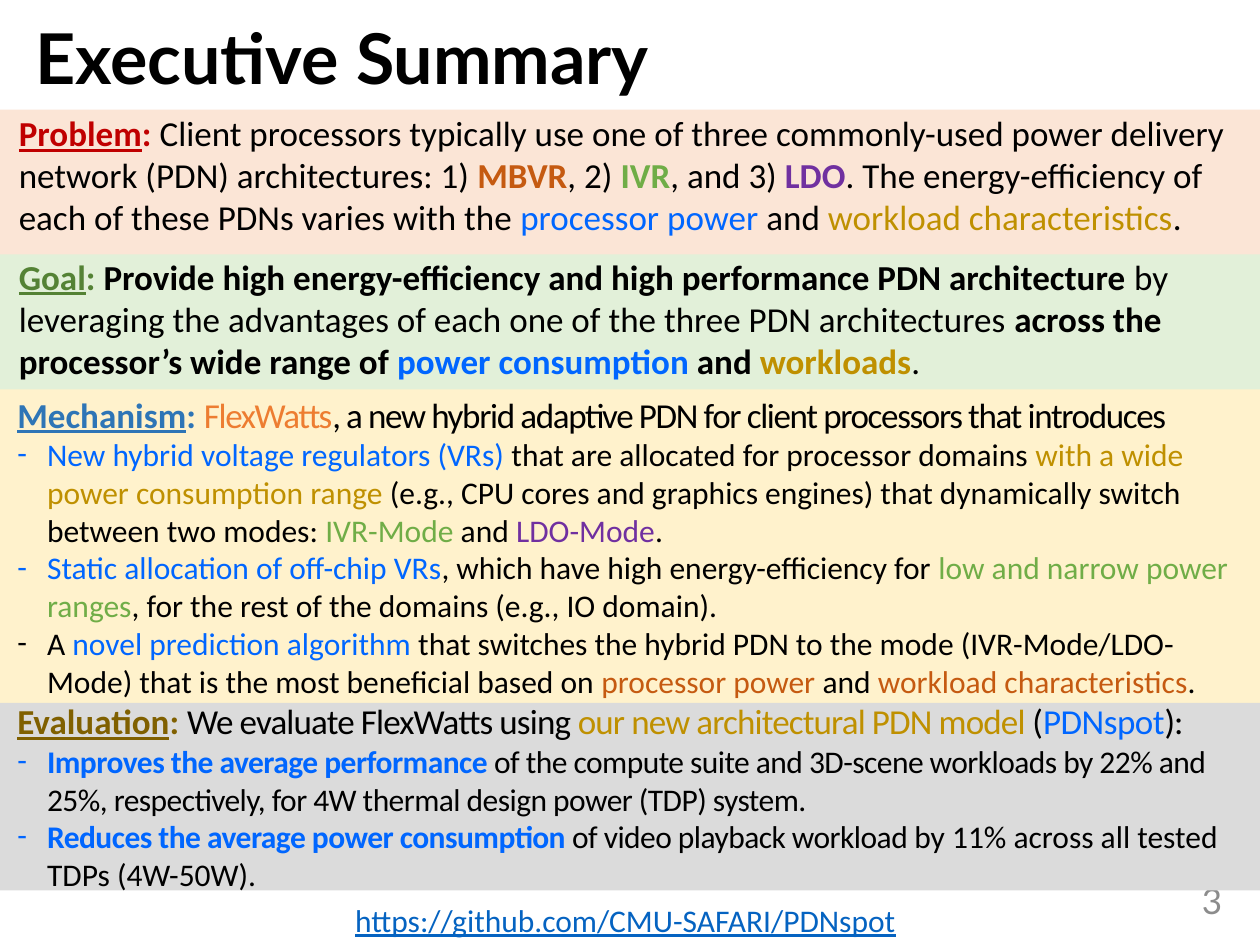
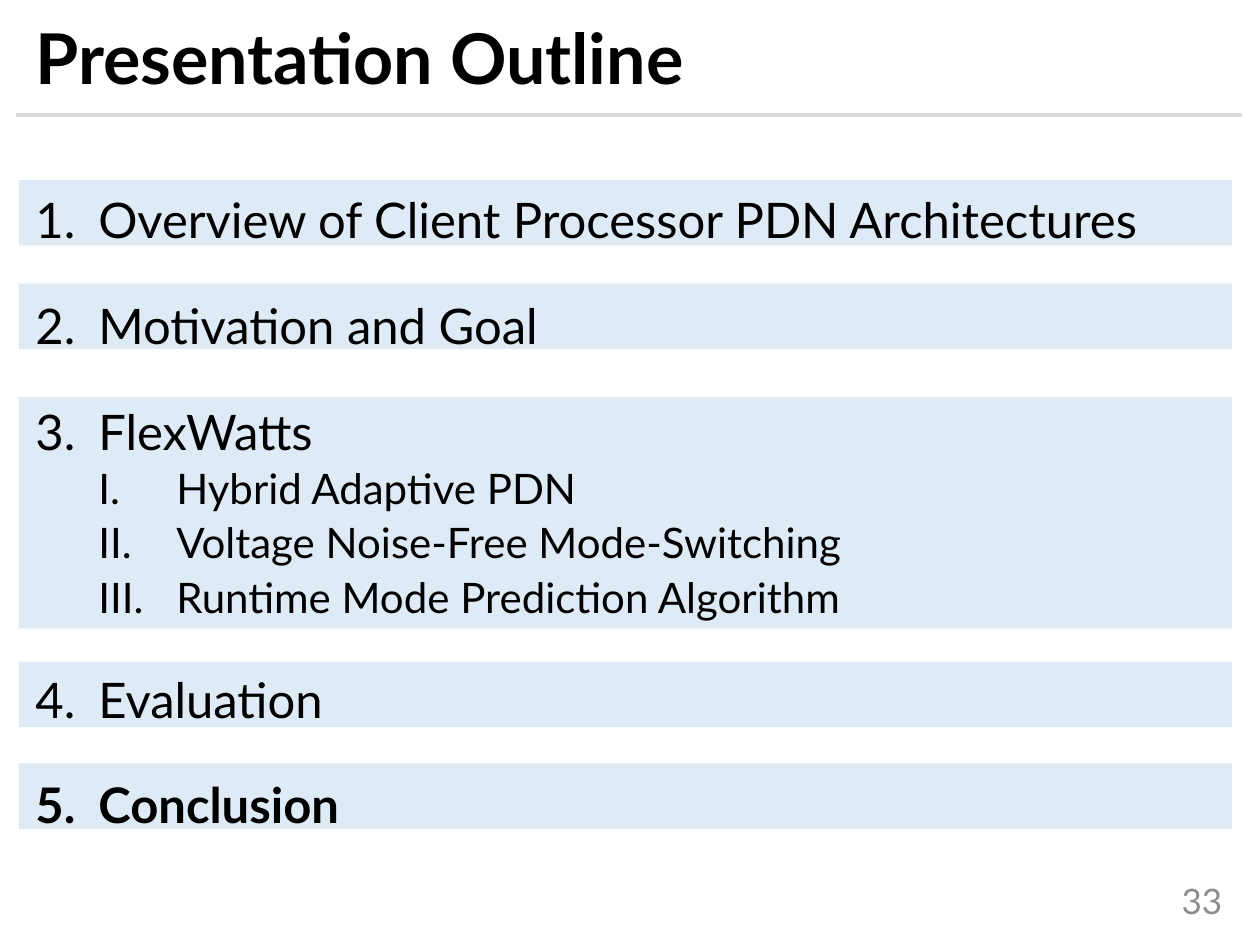
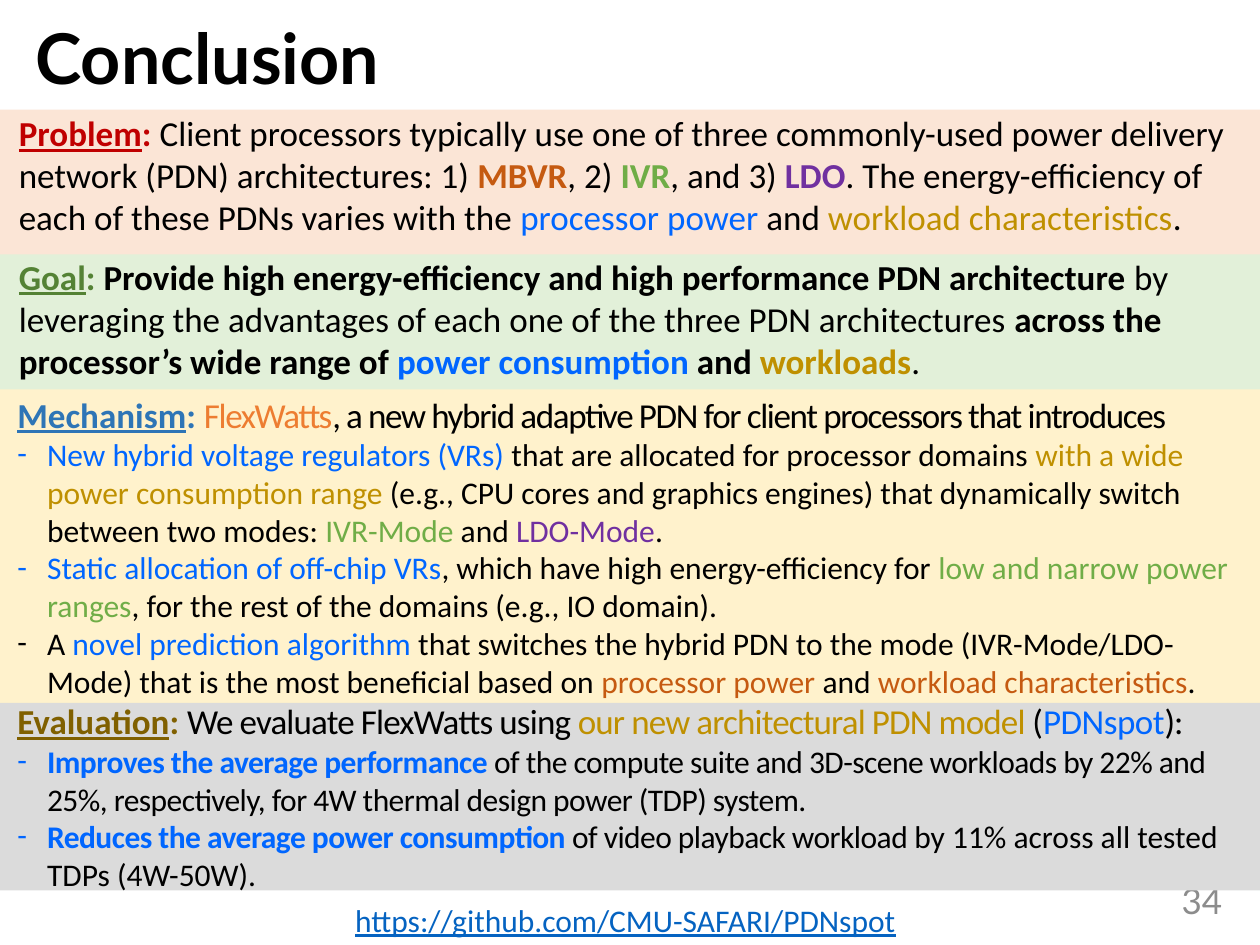
from lxml import etree
from pptx import Presentation
from pptx.dml.color import RGBColor
from pptx.enum import shapes, text
from pptx.oxml.ns import qn
from pptx.util import Cm, Pt

BLACK, GREY, RULE = "000000", "8C8C8C", "D9D9D9"
BLUE, GOLD, ORANGE = "0066FF", "BF9000", "C55A11"
GREEN, PURPLE, LINK = "70AD47", "7030A0", "0563C1"
PALE_BLUE = "DEEBF7"
HEAD_FONT, TEXT_FONT = "Lato", "Calibri"

# Spans are (text, colour, marks, spacing in points); marks: b bold, u underlined.
PROBLEM = [
    ("Problem", "C00000", "bu"), (": ", "C00000", "b"),
    ("Client processors typically use one of three commonly-used power "
     "delivery network (PDN) architectures: 1) ",),
    ("MBVR", ORANGE, "b"), (", 2) ",), ("IVR", GREEN, "b"), (", and 3) ",),
    ("LDO", PURPLE, "b"),
    (". The energy-efficiency of each of these PDNs varies with the ",),
    ("processor power ", BLUE), ("and ",),
    ("workload characteristics", GOLD), (".",),
]
GOAL = [
    ("Goal", "548235", "bu"), (": ", "548235", "b"),
    ("Provide high energy-efficiency and high performance PDN architecture ",
     BLACK, "b"),
    ("by leveraging the advantages of each one of the three PDN architectures ",),
    ("across the processor’s wide range of ", BLACK, "b"),
    ("power consumption ", BLUE, "b"), ("and ", BLACK, "b"),
    ("workloads", GOLD, "b"), (".",),
]
MECHANISM = [
    ("Mechanism", "2E75B6", "bu"), (": ", "2E75B6", "b"),
    ("FlexWatts", "ED7D31", "", -0.8),
    (", a new hybrid adaptive PDN for client processors that introduces",
     BLACK, "", -0.8),
]
MECHANISM_POINTS = [
    [("New hybrid voltage regulators (VRs)", BLUE),
     (" that are allocated for processor domains ",),
     ("with a wide power consumption range", GOLD),
     (" (e.g., CPU cores and graphics engines) that dynamically switch "
      "between two modes: ",),
     ("IVR-Mode", GREEN), (" and ",), ("LDO-Mode", PURPLE), (".",)],
    [("Static allocation of off-chip VRs", BLUE),
     (", which have high energy-efficiency for ",),
     ("low and narrow power ranges", GREEN),
     (", for the rest of the domains (e.g., IO domain).",)],
    [("A ",), ("novel prediction algorithm ", BLUE),
     ("that switches the hybrid PDN to the mode (IVR-Mode/LDO-Mode) that is "
      "the most beneficial based on ",),
     ("processor power ", ORANGE), ("and ",),
     ("workload characteristics", ORANGE), (".",)],
]
EVALUATION = [
    ("Evaluation", "806000", "bu"), (": ", "806000", "b"),
    ("We evaluate FlexWatts using ", BLACK, "", -0.5),
    ("our new architectural PDN model ", GOLD, "", -0.5),
    ("(", BLACK, "", -0.5), ("PDNspot", BLUE, "", -0.3),
    ("):", BLACK, "", -0.5),
]
EVALUATION_POINTS = [
    [("Improves the average performance ", BLUE, "b", -0.3),
     ("of the compute suite and 3D-scene workloads by 22% and 25%, "
      "respectively, for 4W thermal design power (TDP) system.",
      BLACK, "", -0.3)],
    [("Reduces the average power consumption ", BLUE, "b", -0.3),
     ("of video playback workload ", BLACK, "", -0.3),
     ("by 11% across all tested TDPs (4W-50W).",)],
]
SUMMARY_BANDS = [  # left, top, height, fill
    (-0.28, 7.42, 6.86, "FFF2CC"),
    (-0.38, 4.57, 3.28, "E2F0D9"),
    (-0.38, 2.21, 2.92, "FBE5D6"),
    (-0.38, 14.17, 3.78, "DBDBDB"),
]
OUTLINE_BARS = [(3.63, 1.32), (5.72, 1.32), (8, 4.67), (13.34, 1.32), (15.39, 1.32)]
OUTLINE = [  # text, level
    ("Overview of Client Processor PDN Architectures", 0),
    ("Motivation and Goal", 0),
    ("FlexWatts", 0),
    ("Hybrid Adaptive PDN", 1),
    ("Voltage Noise-Free Mode-Switching", 1),
    ("Runtime Mode Prediction Algorithm", 1),
    ("Evaluation", 0),
    ("Conclusion", 0),
]


def rgb(value):
    return RGBColor.from_string(value)


def set_bullet(para, indent, hanging, kind, font, **attributes):
    """Give a paragraph a bullet (kind buChar or buAutoNum) and its indents."""
    props = para._p.get_or_add_pPr()
    props.set("marL", str(Cm(indent)))
    props.set("indent", str(-Cm(hanging)))
    etree.SubElement(props, qn("a:buFont")).set("typeface", font)
    etree.SubElement(props, qn(f"a:{kind}"), attributes)


class Slides:
    """The deck, its style and the slide being filled."""

    def __init__(self):
        self.deck = Presentation()
        self.deck.slide_width, self.deck.slide_height = Cm(25.4), Cm(19.05)
        self.page = None

    def start(self, title, number, layout):
        self.page = self.deck.slides.add_slide(self.deck.slide_layouts[layout])
        frame = self.place(self.page.shapes.title, 0.46, 0.36, 24.71, 1.68)
        para = frame.paragraphs[0]
        para.text = title
        para.alignment = text.PP_ALIGN.LEFT
        para.line_spacing = 0.9
        self.style(para, 40, HEAD_FONT, BLACK, True)

        frame = self.box(22.15, 17.65, 2.74, 1.02)
        frame.vertical_anchor = text.MSO_ANCHOR.MIDDLE
        para = frame.paragraphs[0]
        para.text = str(number)
        para.alignment = text.PP_ALIGN.RIGHT
        self.style(para, 20, HEAD_FONT, GREY)

    def place(self, holder, left, top, width, height):
        holder.left, holder.top = Cm(left), Cm(top)
        holder.width, holder.height = Cm(width), Cm(height)
        frame = holder.text_frame
        frame.word_wrap = True
        frame.auto_size = text.MSO_AUTO_SIZE.NONE
        frame.vertical_anchor = text.MSO_ANCHOR.TOP
        return frame

    def style(self, para, size, name, colour=None, bold=None):
        font = para.font
        font.size, font.name, font.bold = Pt(size), name, bold
        if colour:
            font.color.rgb = rgb(colour)

    def box(self, left, top, width, height):
        box = self.page.shapes.add_textbox(Cm(left), Cm(top), Cm(width), Cm(height))
        box.text_frame.word_wrap = True
        return box.text_frame

    def band(self, left, top, width, height, fill):
        band = self.page.shapes.add_shape(
            shapes.MSO_SHAPE.RECTANGLE, Cm(left), Cm(top), Cm(width), Cm(height))
        band.shadow.inherit = False
        band.fill.solid()
        band.fill.fore_color.rgb = rgb(fill)
        band.line.fill.background()

    def rule(self, left, right, top):
        rule = self.page.shapes.add_connector(
            shapes.MSO_CONNECTOR.STRAIGHT, Cm(left), Cm(top), Cm(right), Cm(top))
        rule.line.color.rgb = rgb(RULE)
        rule.line.width = Pt(2.25)
        etree.SubElement(rule._element.spPr, qn("a:effectLst"))

    def next_para(self, frame):
        """Return the empty first paragraph, or a new one."""
        first = frame.paragraphs[0]
        return frame.add_paragraph() if first.runs else first

    def add_spans(self, frame, spans, size=20, dash=False):
        para = self.next_para(frame)
        if dash:
            para.level = 1
            set_bullet(para, 0.6, 0.6, "buChar", TEXT_FONT, char="-")
        self.style(para, size, TEXT_FONT)
        for words, *look in spans:
            colour, marks, spacing = (*look, *(BLACK, "", 0)[len(look):])
            span = para.add_run()
            span.text = words
            span.font.color.rgb = rgb(colour)
            span.font.bold = "b" in marks
            span.font.underline = "u" in marks
            if spacing:
                span._r.get_or_add_rPr().set("spc", str(round(spacing * 100)))
        return para

    def numbered(self, frame, words, level, bold):
        para = self.next_para(frame)
        first = len(frame.paragraphs) == 1
        para.text = words
        para.level = level
        indent, hanging, scheme, size, lines, before = (
            (2.84, 1.57, "romanUcPeriod", 24, 0.9, 5) if level
            else (1.27, 1.27, "arabicPeriod", 28, 1.5, 10))
        set_bullet(para, indent, hanging, "buAutoNum", HEAD_FONT, type=scheme)
        para.line_spacing = lines
        para.space_before = Pt(0 if first else before)
        self.style(para, size, HEAD_FONT, BLACK, bold)


def add_summary(slides, title, number):
    slides.start(title, number, layout=5)
    for left, top, height, fill in SUMMARY_BANDS:
        slides.band(left, top, 26.16, height, fill)

    frame = slides.box(0.13, 2.13, 25.27, 5.87)
    slides.add_spans(frame, PROBLEM)
    slides.add_spans(frame, GOAL).space_before = Pt(9.8)

    frame = slides.box(0.1, 7.8, 25.3, 10.44)
    for heading, points in ((MECHANISM, MECHANISM_POINTS),
                            (EVALUATION, EVALUATION_POINTS)):
        slides.add_spans(frame, heading)
        for point in points:
            slides.add_spans(frame, point, 18, dash=True)

    frame = slides.box(6.91, 18.03, 11.68, 1.02)
    slides.add_spans(
        frame, [("https://github.com/CMU-SAFARI/PDNspot", LINK, "u")], 18)


def add_outline(slides, current):
    slides.start("Presentation Outline", 33, layout=1)
    slides.rule(0.33, 25.04, 2.31)
    for top, height in OUTLINE_BARS:
        slides.band(0.38, top, 24.46, height, PALE_BLUE)
    body = slides.page.placeholders[1]
    slides.page.shapes._spTree.append(body._element)  # in front of the bars
    frame = slides.place(body, 0.46, 3.1, 24.71, 14.4)
    for words, level in OUTLINE:
        slides.numbered(frame, words, level, words == current)


def main():
    slides = Slides()
    add_summary(slides, "Executive Summary", 3)
    add_outline(slides, "Conclusion")
    add_summary(slides, "Conclusion", 34)
    slides.deck.save("out.pptx")


if __name__ == "__main__":
    main()
